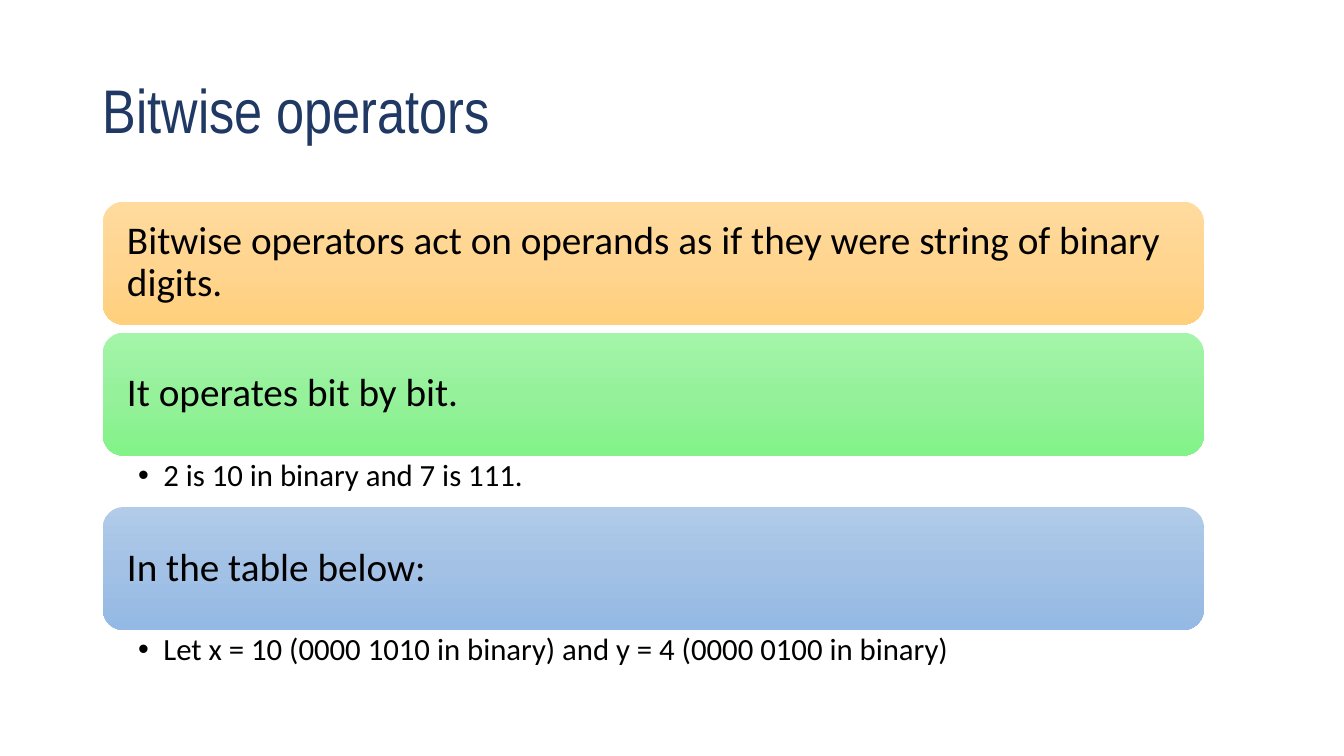
from copy import deepcopy

from lxml import etree
from pptx import Presentation
from pptx import util as u
from pptx.dml.color import RGBColor
from pptx.enum import shapes, text
from pptx.oxml.ns import qn

NAVY = RGBColor(0x20, 0x38, 0x64)
BLACK = RGBColor(0, 0, 0)
ORANGES = [RGBColor(0xFF, 0xDB, 0x9E), RGBColor(0xFF, 0xD5, 0x90), RGBColor(0xFF, 0xD0, 0x7C)]
GREENS = [RGBColor(0xA4, 0xF4, 0xA9), RGBColor(0x96, 0xF1, 0x9B), RGBColor(0x82, 0xF3, 0x88)]
BLUES = [RGBColor(0xB1, 0xCB, 0xE9), RGBColor(0xA3, 0xC1, 0xE5), RGBColor(0x93, 0xB9, 0xE4)]

LEFT, WIDTH = 102, 1092
TOP, BAR_HEIGHT, NOTE_HEIGHT, GAP = 200, 122, 51, 8
POINTS = [
    ("Bitwise operators act on operands as if they were string of binary digits.", ORANGES, None),
    ("It operates bit by bit.", GREENS, "2 is 10 in binary and 7 is 111."),
    ("In the table below:", BLUES, "Let x = 10 (0000 1010 in binary) and y = 4 (0000 0100 in binary)"),
]


def px(length):
    """Turn px, at 100 to the inch, into EMU."""
    return u.Emu(length * 9144)


def write(shape, content, *, size, font="Calibri", color=BLACK, insets=(10, 5, 10, 5),
          anchor=text.MSO_ANCHOR.MIDDLE):
    """Write one left-aligned paragraph into a shape and return it."""
    frame = shape.text_frame
    frame.word_wrap = True
    frame.vertical_anchor = anchor
    frame.margin_left, frame.margin_top, frame.margin_right, frame.margin_bottom = map(px, insets)
    paragraph = frame.paragraphs[0]
    paragraph.alignment = text.PP_ALIGN.LEFT
    paragraph.line_spacing = 0.9
    run = paragraph.add_run()
    run.text = content
    run.font.name = font
    run.font.size = u.Pt(size)
    run.font.color.rgb = color
    return paragraph


class SlideBuilder:
    """Holds the current slide and draws its elements in one style."""

    def __init__(self, presentation):
        """Add a blank slide."""
        self.slide = presentation.slides.add_slide(presentation.slide_layouts[6])

    def textbox(self, left, top, width, height):
        """Add an empty text box."""
        return self.slide.shapes.add_textbox(px(left), px(top), px(width), px(height))

    def title(self, content):
        """Add the slide title."""
        write(self.textbox(92, 40, 1150, 145), content, size=44, font="Arial Narrow", color=NAVY)

    def bar(self, top, content, colors):
        """Add a rounded bar with a vertical three-colour gradient."""
        shape = self.slide.shapes.add_shape(
            shapes.MSO_SHAPE.ROUNDED_RECTANGLE, px(LEFT), px(top), px(WIDTH), px(BAR_HEIGHT))
        shape.shadow.inherit = False
        shape.line.fill.background()
        shape.fill.gradient()
        shape.fill.gradient_angle = 270
        stops = next(shape._element.iter(qn("a:gsLst")))
        stops.insert(1, deepcopy(stops[0]))
        for index, (stop, color) in enumerate(zip(shape.fill.gradient_stops, colors)):
            stop.position = index / 2
            stop.color.rgb = color
        write(shape, content, size=28, insets=(18, 18, 18, 18))

    def note(self, top, content):
        """Add a bulleted line below a bar."""
        paragraph = write(self.textbox(LEFT, top, WIDTH, NOTE_HEIGHT), content, size=22,
                          insets=(35, 4, 22, 4), anchor=text.MSO_ANCHOR.TOP)
        properties = paragraph._p.get_or_add_pPr()
        properties.set("marL", str(px(25)))
        properties.set("indent", str(px(-25)))
        etree.SubElement(properties, qn("a:buFont"), typeface="Arial")
        etree.SubElement(properties, qn("a:buChar"), char="•")


def main():
    """Build and save the slide."""
    presentation = Presentation()
    presentation.slide_width, presentation.slide_height = px(1333), px(750)
    builder = SlideBuilder(presentation)
    builder.title("Bitwise operators")
    top = TOP
    for content, colors, note in POINTS:
        builder.bar(top, content, colors)
        top += BAR_HEIGHT
        if note:
            builder.note(top, note)
        top += NOTE_HEIGHT if note else GAP
    presentation.save("out.pptx")


if __name__ == "__main__":
    main()
